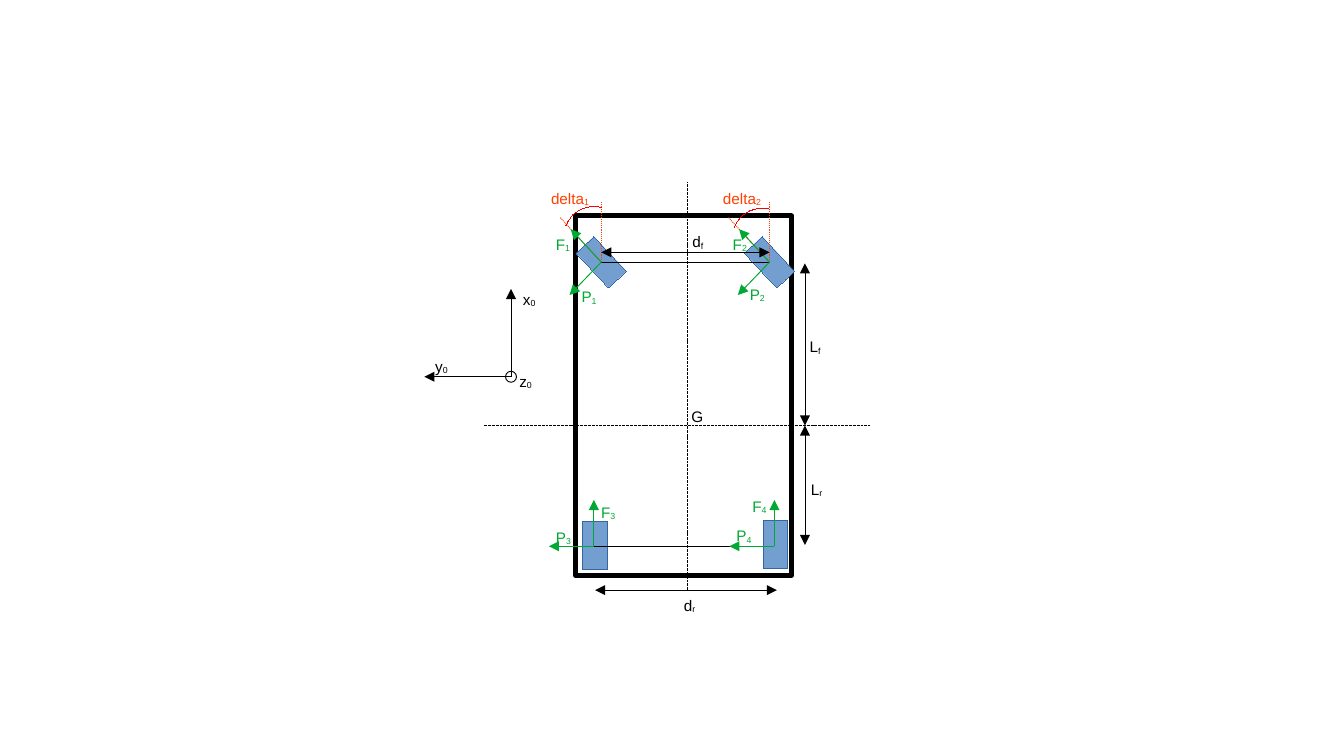
import lxml.etree
import pptx
import pptx.dml.color
import pptx.enum.dml
import pptx.enum.shapes
import pptx.enum.text
import pptx.oxml.ns
import pptx.util

# Every length below counts cells of a square grid, ten to the inch
CELL = pptx.util.Inches(0.1)
COLUMNS, ROWS = 110.2, 62

COLORS = {
    "black": "000000",
    "wheel": "729FCF",
    "wheel_edge": "3465A4",
    "force": "00A933",
    "angle": "FF4000",
    "arc": "FF0000",
}
THICK, THIN, FINE, HAIR = 2.83, 0.57, 0.28, 0.01
DASH = pptx.enum.dml.MSO_LINE.SQUARE_DOT
DOT = pptx.enum.dml.MSO_LINE.ROUND_DOT
RECTANGLE = pptx.enum.shapes.MSO_SHAPE.RECTANGLE
OVAL = pptx.enum.shapes.MSO_SHAPE.OVAL

FRONT_AXLE, REAR_AXLE, GRAVITY_ROW = 21.5, 44.8, 34.9
MIDDLE = 56.4
WHEEL_WIDTH, WHEEL_LENGTH, STEERING = 2, 3.9, -43


def grid(*counts):
    return [round(count * CELL) for count in counts]


def rgb(name):
    return pptx.dml.color.RGBColor.from_string(COLORS[name])


def style_line(line, color, width):
    line.color.rgb = rgb(color)
    line.width = pptx.util.Pt(width)


def add_outline(slide, kind, center, size, color, width, fill=None, turn=0):
    """Preset shape placed by its centre."""
    left, top = center[0] - size[0] / 2, center[1] - size[1] / 2
    shape = slide.shapes.add_shape(kind, *grid(left, top, *size))
    shape.shadow.inherit = False
    shape.rotation = turn
    style_line(shape.line, color, width)
    if fill:
        shape.fill.solid()
        shape.fill.fore_color.rgb = rgb(fill)
    else:
        shape.fill.background()


def add_wheel(slide, center, turn=0):
    add_outline(slide, RECTANGLE, center, (WHEEL_WIDTH, WHEEL_LENGTH),
                "wheel_edge", HAIR, "wheel", turn)


def add_line(slide, start, end, color="black", width=THIN, dash=None, heads=()):
    connector = slide.shapes.add_connector(
        pptx.enum.shapes.MSO_CONNECTOR.STRAIGHT, *grid(*start, *end))
    style_line(connector.line, color, width)
    if dash:
        connector.line.dash_style = dash
    properties = connector._element.spPr
    outline = properties.find(pptx.oxml.ns.qn("a:ln"))
    for head in heads:
        lxml.etree.SubElement(outline, pptx.oxml.ns.qn("a:" + head), type="triangle")
    lxml.etree.SubElement(properties, pptx.oxml.ns.qn("a:effectLst"))


def add_arrow(slide, start, offset, color="black"):
    end = (start[0] + offset[0], start[1] + offset[1])
    add_line(slide, start, end, color, heads=("tailEnd",))


def add_dimension(slide, start, end):
    add_line(slide, start, end, width=FINE, heads=("headEnd", "tailEnd"))


def add_arc(slide, start, control, end, steps=16):
    """Open cubic curve whose second control point is its end."""
    points = []
    for step in range(steps + 1):
        t = step / steps
        weights = ((1 - t) ** 3, 3 * t * (1 - t) ** 2, t * t * (3 - 2 * t))
        points.append(grid(*(
            sum(weight * point[axis]
                for weight, point in zip(weights, (start, control, end)))
            for axis in (0, 1))))
    builder = slide.shapes.build_freeform(*points[0])
    builder.add_line_segments(points[1:], close=False)
    arc = builder.convert_to_shape()
    arc.shadow.inherit = False
    arc.fill.background()
    style_line(arc.line, "arc", HAIR)


def add_label(slide, left, top, symbol, index="", color="black", width=3.6):
    box = slide.shapes.add_textbox(*grid(left, top, width, 2.4))
    frame = box.text_frame
    frame.word_wrap = False
    frame.auto_size = pptx.enum.text.MSO_AUTO_SIZE.SHAPE_TO_FIT_TEXT
    paragraph = frame.paragraphs[0]
    paragraph.font.name = "Arial"
    paragraph.font.size = pptx.util.Pt(9)
    paragraph.font.color.rgb = rgb(color)
    paragraph.add_run().text = symbol
    if index:
        subscript = paragraph.add_run()
        subscript.text = index
        subscript._r.get_or_add_rPr().set("baseline", "-8000")


def add_steering_angle(slide, hub, drop):
    """Dotted guides, angle arc and forces of a front wheel."""
    x, y = hub
    add_line(slide, hub, (x, y - 5), "angle", dash=DOT)
    add_line(slide, hub, (x - 3.4, y - 3.7), "angle", dash=DOT)
    add_arc(slide, (x - 2.9, y - 3 + drop), (x - 2.1, y - 5 + drop),
            (x, y - 4.5 + drop))
    add_arrow(slide, hub, (-2.6, 2.7), "force")
    add_arrow(slide, hub, (-2.5, -2.7), "force")


def main():
    presentation = pptx.Presentation()
    presentation.slide_width, presentation.slide_height = grid(COLUMNS, ROWS)
    slide = presentation.slides.add_slide(presentation.slide_layouts[6])

    front_hubs = [(column, FRONT_AXLE) for column in (49.3, 63.1)]
    rear_hubs = [(column, REAR_AXLE) for column in (48.7, 63.5)]

    # Chassis and wheels
    add_outline(slide, RECTANGLE, (56.05, 32.45), (17.7, 29.5), "black", THICK)
    for hub in front_hubs:
        add_wheel(slide, hub, STEERING)
    for center in ((48.8, 44.75), (63.6, 44.65)):
        add_wheel(slide, center)

    # Axles and centre lines
    add_line(slide, *rear_hubs)
    add_line(slide, *front_hubs)
    add_line(slide, (39.7, GRAVITY_ROW), (71.3, GRAVITY_ROW), dash=DASH)
    add_line(slide, (MIDDLE, 48.4), (MIDDLE, 14.9), dash=DASH)

    # Steering angles and wheel forces
    for hub, drop in zip(front_hubs, (0, 0.15)):
        add_steering_angle(slide, hub, drop)
    for hub in rear_hubs:
        add_arrow(slide, hub, (-3.7, 0), "force")
        add_arrow(slide, hub, (0, -3.8), "force")

    # Dimensions
    add_dimension(slide, (48.8, 48.4), (63.7, 48.4))
    add_dimension(slide, (49.3, 20.7), (63.1, 20.7))
    add_dimension(slide, (66, 44.7), (66, GRAVITY_ROW))
    add_dimension(slide, (66, GRAVITY_ROW), (66, 21.6))

    # Reference axes
    origin = (41.9, 30.9)
    add_arrow(slide, origin, (0, -7.2))
    add_arrow(slide, origin, (-7.1, 0))
    add_outline(slide, OVAL, origin, (0.9, 0.9), "black", THIN)

    # Labels
    for left, top, symbol, index in (
            (44.6, 18.8, "F", "1"), (59.1, 18.8, "F", "2"),
            (48.3, 40.8, "F", "3"), (60.7, 40.3, "F", "4"),
            (46.7, 23.1, "P", "1"), (60.5, 22.9, "P", "2"),
            (44.6, 42.8, "P", "3"), (59.4, 42.7, "P", "4")):
        add_label(slide, left, top, symbol, index, "force")
    for left, index in ((44.2, "1"), (58.3, "2")):
        add_label(slide, left, 15, "delta", index, "angle", 5.4)
    for left, top, symbol, index in (
            (55.7, 32.9, "G", ""),
            (65.5, 38.9, "L", "r"), (65.4, 27.2, "L", "f"),
            (55.1, 48.4, "d", "r"), (55.8, 18.6, "d", "f"),
            (41.9, 23.3, "x", "0"), (34.7, 28.8, "y", "0"),
            (41.6, 30, "z", "0")):
        add_label(slide, left, top, symbol, index)

    presentation.save("out.pptx")


if __name__ == "__main__":
    main()
